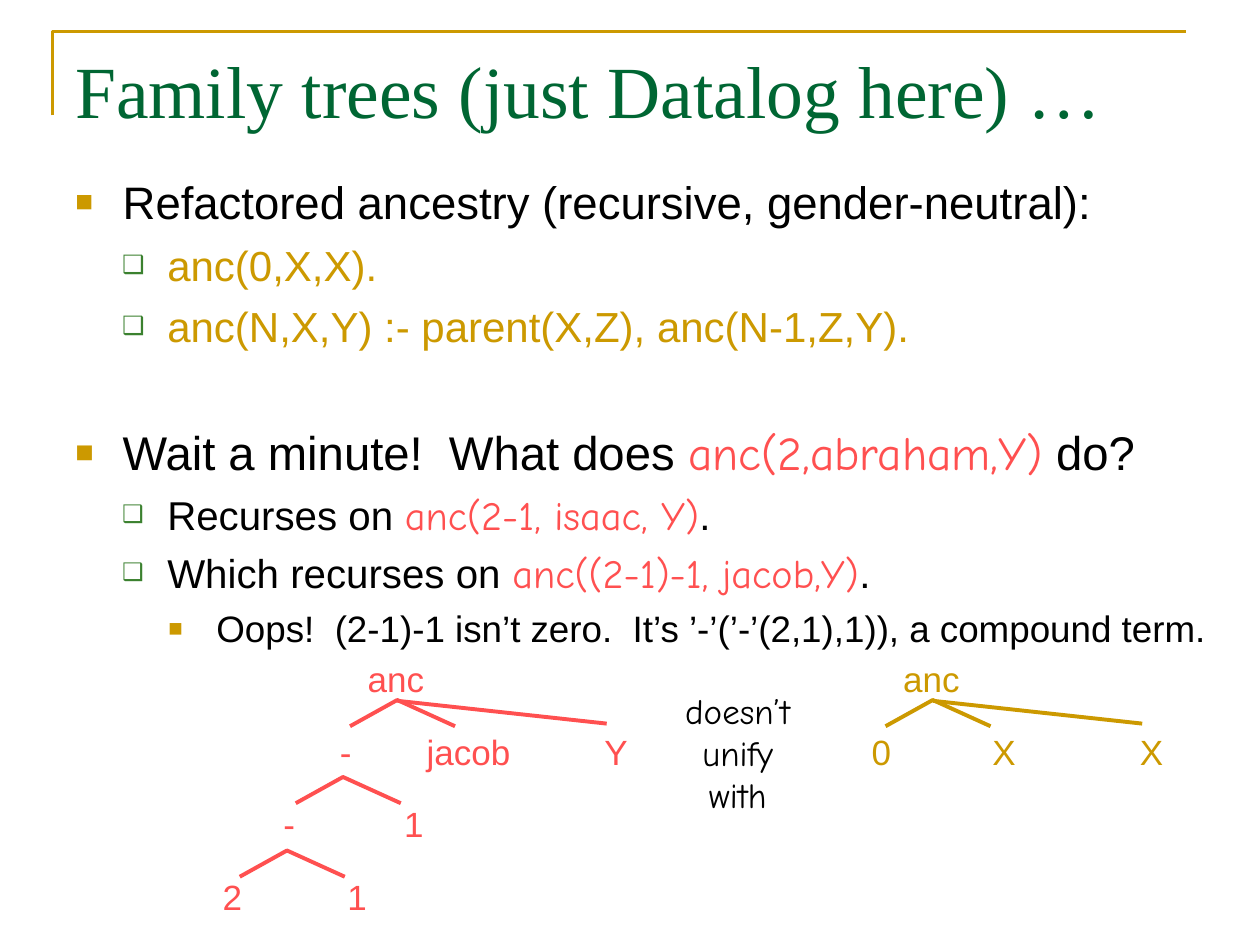
from lxml import etree
from pptx import Presentation
from pptx.dml.color import RGBColor
from pptx.enum.shapes import MSO_CONNECTOR
from pptx.enum.text import MSO_ANCHOR, MSO_AUTO_SIZE, PP_ALIGN
from pptx.oxml.ns import qn
from pptx.util import Pt

TOP = MSO_ANCHOR.TOP
GROW, FIXED = MSO_AUTO_SIZE.SHAPE_TO_FIT_TEXT, MSO_AUTO_SIZE.NONE
LEFT, MID = PP_ALIGN.LEFT, PP_ALIGN.CENTER
LINE = MSO_CONNECTOR.STRAIGHT

GOLD, GREEN, RED, BLACK = "CC9900", "006633", "FF5050", "000000"
SANS, SERIF, HAND = "Arial", "Times New Roman", "Comic Neue"

# Bullet levels: left margin, hanging indent, sign, colour, size in percent
LEVELS = [
    (27, 27, "■", GOLD, 65),
    (52.5, 25.8, "❑", "3B812F", 60),
    (80.6, 27.4, "■", GOLD, 65),
]

# Body lines: level, space before, size, runs of (text, colour)
BODY = [
    (0, 0, 26, [("Refactored ancestry (recursive, gender-neutral):", BLACK)]),
    (1, 6, 24, [("anc(0,X,X).", GOLD)]),
    (1, 6, 24, [("anc(N,X,Y) :- parent(X,Z), anc(N-1,Z,Y).", GOLD)]),
    (0, 41.5, 27, [("Wait a minute!  What does ", BLACK),
                   ("anc(2,abraham,Y)", RED), (" do?", BLACK)]),
    (1, 5.8, 23, [("Recurses on ", BLACK),
                  ("anc(2-1, isaac, Y)", RED), (".", BLACK)]),
    (1, 5.8, 23, [("Which recurses on ", BLACK),
                  ("anc((2-1)-1, jacob,Y)", RED), (".", BLACK)]),
    (2, 5.2, 21, [("Oops!  (2-1)-1 isn’t zero.  "
                   "It’s ’-’(’-’(2,1),1)), a compound term.", BLACK)]),
]

# Label width by text, and label top by tree row
WIDTHS = {"anc": 48, "jacob": 66, "-": 22, "X": 29, "Y": 29}
DIGIT = 27
ROWS = [372.2, 414, 455, 496.8]

# Tree parts: fork peaks, and labels as (text, centre, row)
PEAKS = [(227.2, 400.5), (196.4, 444), (164.2, 486)]
GOAL = [("anc", 226.2, 0), ("-", 197.6, 1), ("jacob", 267.8, 1),
        ("Y", 352, 1), ("-", 165.2, 2), ("1", 236.5, 2),
        ("2", 132.8, 3), ("1", 204.1, 3)]
FACT = [("anc", 226.2, 0), ("0", 197.6, 1), ("X", 267.8, 1), ("X", 352, 1)]


def paint(code):
    return RGBColor.from_string(code)


def add_run(para, text, size, font, color):
    run = para.add_run()
    run.text = text
    run.font.size = Pt(size)
    run.font.name = font
    run.font.color.rgb = paint(color)


def add_box(slide, x, y, w, h, wrap=True, align=LEFT):
    frame = slide.shapes.add_textbox(Pt(x), Pt(y), Pt(w), Pt(h)).text_frame
    frame.word_wrap = wrap
    frame.auto_size = FIXED if wrap else GROW
    frame.vertical_anchor = TOP
    frame.paragraphs[0].alignment = align
    return frame


def add_bullet(para, level):
    left, hang, sign, color, size = LEVELS[level]
    props = para._p.get_or_add_pPr()
    props.set("marL", str(Pt(left)))
    props.set("indent", str(-Pt(hang)))
    tint = etree.SubElement(props, qn("a:buClr"))
    etree.SubElement(tint, qn("a:srgbClr"), val=color)
    etree.SubElement(props, qn("a:buSzPct"), val=str(size * 1000))
    etree.SubElement(props, qn("a:buFont"), typeface=SANS)
    etree.SubElement(props, qn("a:buChar"), char=sign)


def add_body(slide):
    frame = add_box(slide, 36, 96, 672, 444)
    for i, (level, gap, size, runs) in enumerate(BODY):
        para = frame.add_paragraph() if i else frame.paragraphs[0]
        add_bullet(para, level)
        para.level = level
        para.space_before = Pt(gap)
        for text, color in runs:
            add_run(para, text, size, HAND if color == RED else SANS, color)


def add_path(slide, points, color, width):
    pen = slide.shapes.build_freeform(*points[0], scale=Pt(1))
    pen.add_line_segments(points[1:], close=False)
    shape = pen.convert_to_shape()
    shape.shadow.inherit = False
    shape.fill.background()
    shape.line.color.rgb = paint(color)
    shape.line.width = Pt(width)


def add_line(slide, x, y, x2, y2, color):
    line = slide.shapes.add_connector(LINE, Pt(x), Pt(y), Pt(x2), Pt(y2))
    line.line.color.rgb = paint(color)
    line.line.width = Pt(2.25)
    etree.SubElement(line._element.spPr, qn("a:effectLst"))


def add_tree(slide, shift, color, peaks, labels):
    # Two-way forks, with a third branch at the root
    for x, y in peaks:
        x += shift
        add_path(slide, [(x - 27.4, y + 14.8), (x, y), (x + 32.4, y + 14.8)],
                 color, 2.25)
    x, y = peaks[0]
    add_line(slide, x + shift, y, x + shift + 119.5, y + 13, color)
    # Node names
    for text, mid, row in labels:
        w = WIDTHS.get(text, DIGIT)
        frame = add_box(slide, mid + shift - w / 2, ROWS[row], w, 31.7,
                        False, MID)
        add_run(frame.paragraphs[0], text, 20, SANS, color)


def add_note(slide):
    para = add_box(slide, 379.6, 390.2, 84, 79.2, False, MID).paragraphs[0]
    for i, word in enumerate(["doesn’t", "unify", "with"]):
        if i:
            para.add_line_break()
        add_run(para, word, 20, HAND, BLACK)


def main():
    deck = Presentation()
    deck.slide_width, deck.slide_height = Pt(720), Pt(540)
    slide = deck.slides.add_slide(deck.slide_layouts[6])

    # Corner rule and title
    add_path(slide, [(30, 66), (30, 18), (678, 18)], GOLD, 1.5)
    title = add_box(slide, 36, 22, 648, 86)
    add_run(title.paragraphs[0], "Family trees (just Datalog here) …",
            42, SERIF, GREEN)

    # Bullets
    add_body(slide)

    # The two terms that fail to match
    add_tree(slide, 0, RED, PEAKS, GOAL)
    add_tree(slide, 306, GOLD, PEAKS[:1], FACT)
    add_note(slide)

    deck.save("out.pptx")


if __name__ == "__main__":
    main()
